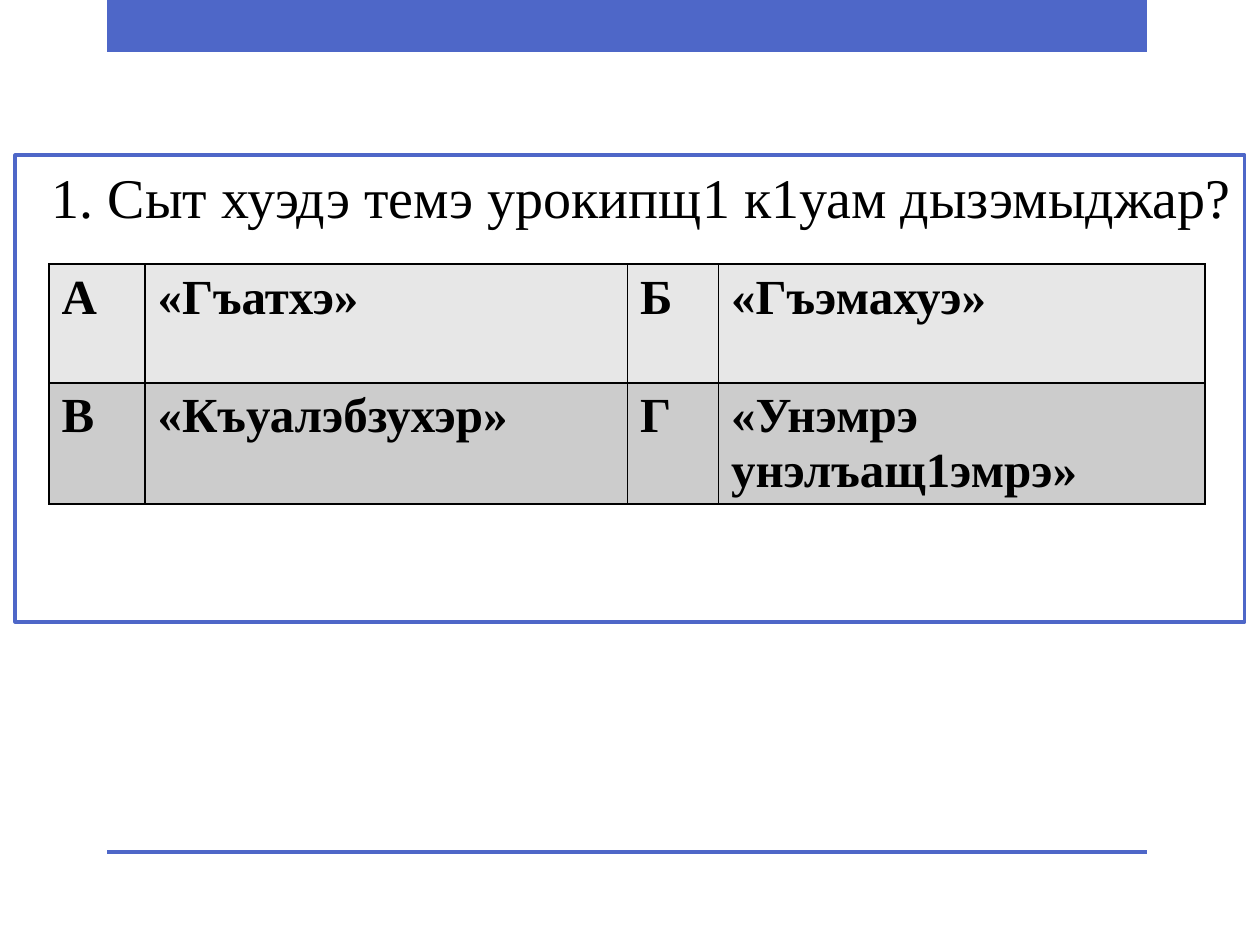
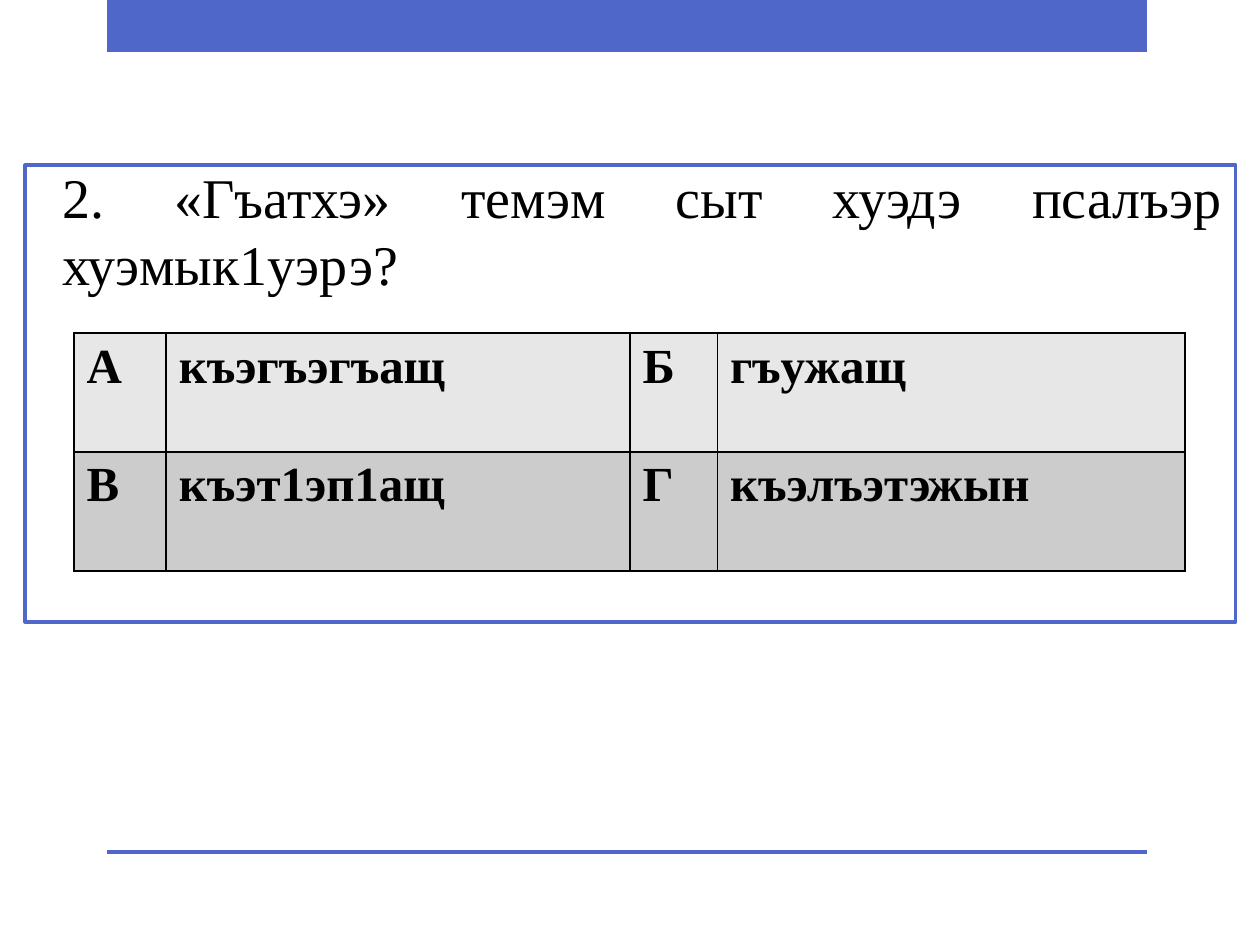
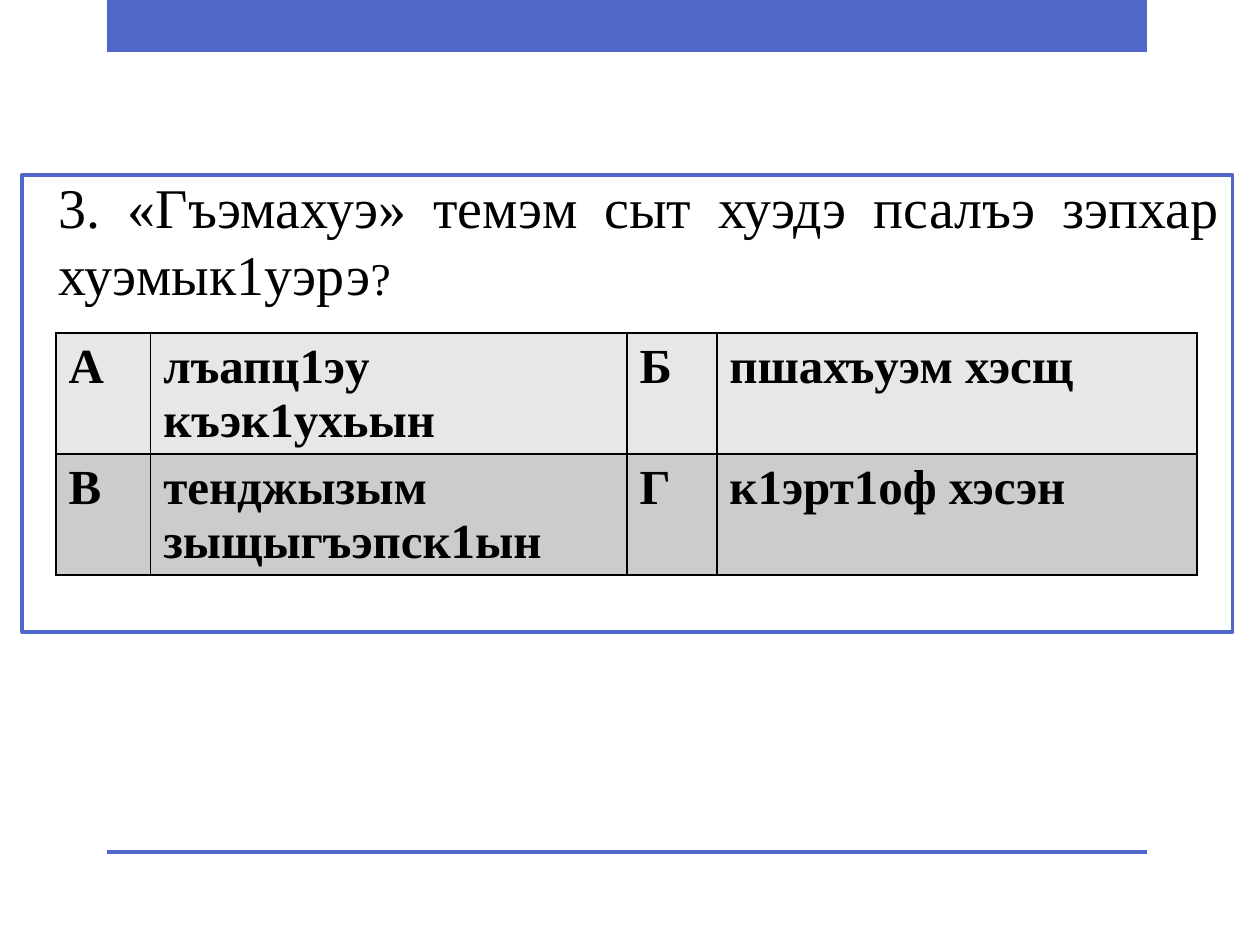
from dataclasses import dataclass

from lxml import etree
from pptx import Presentation
from pptx import util as u
from pptx.dml.color import RGBColor
from pptx.enum import shapes, text
from pptx.oxml.ns import qn

PX = 914400 / 126
LETTERS = "АБВГ"
COLUMN_SHARES = (0.083, 0.4175, 0.0787, 0.4208)
ROW_HEIGHT = 119


@dataclass(frozen=True)
class Theme:
    accent: str = "4E67C8"
    paper: str = "FFFFFF"
    ink: str = "000000"
    row_fills: tuple = ("E7E7E7", "CCCCCC")
    font: str = "Times New Roman"
    question_size: int = 32
    small_size: int = 26
    answer_size: int = 28
    frame_width: float = 1.75
    border_width: float = 1


THEME = Theme()

# panel: left, top, width, height; insets: top, right; table: left, top, width
QUIZ = [
    dict(panel=(15, 155, 1230, 467), insets=(7, 2), table=(49, 264, 1156),
         question=[("1. Сыт хуэдэ темэ урокипщ1 к1уам дызэмыджар?", THEME.question_size)],
         answers=["«Гъатхэ»", "«Гъэмахуэ»", "«Къуалэбзухэр»", "«Унэмрэ унэлъащ1эмрэ»"]),
    dict(panel=(25, 165, 1211, 457), insets=(-3, 13), table=(74, 333, 1111),
         question=[("2. «Гъатхэ» темэм сыт хуэдэ псалъэр хуэмык1уэрэ?", THEME.question_size)],
         answers=["къэгъэгъащ", "гъужащ", "къэт1эп1ащ", "къэлъэтэжын"]),
    dict(panel=(22, 175, 1211, 457), insets=(-3, 13), table=(56, 333, 1141),
         question=[("3. «Гъэмахуэ» темэм сыт хуэдэ псалъэ зэпхар хуэмык1уэрэ",
                    THEME.question_size), ("?", THEME.small_size)],
         answers=["лъапц1эу къэк1ухьын", "пшахъуэм хэсщ",
                  "тенджызым зыщыгъэпск1ын", "к1эрт1оф хэсэн"]),
]


def px(length):
    return u.Emu(round(length * PX))


def paint(fill, color):
    fill.solid()
    fill.fore_color.rgb = RGBColor.from_string(color)


def write(paragraph, words, *, size, bold=False):
    run = paragraph.add_run()
    run.text = words
    run.font.name = THEME.font
    run.font.size = u.Pt(size)
    run.font.bold = bold
    run.font.color.rgb = RGBColor.from_string(THEME.ink)


def add_master_bands(master, slide):
    """Draw the top and bottom bands on a slide, then move them to the master."""
    tree = master.shapes.element
    for order, (top, height) in enumerate([(0, 52), (850, 4)]):
        band = slide.shapes.add_shape(shapes.MSO_SHAPE.RECTANGLE,
                                      px(107), px(top), px(1040), px(height))
        band.shadow.inherit = False
        paint(band.fill, THEME.accent)
        band.line.fill.background()
        band.element.nvSpPr.cNvPr.id = 100 + order
        tree.insert(2 + order, band.element)


def place_question(slide, panel, insets, question):
    title = slide.shapes.title
    title.left, title.top, title.width, title.height = map(px, panel)
    paint(title.fill, THEME.paper)
    paint(title.line.fill, THEME.accent)
    title.line.width = u.Pt(THEME.frame_width)

    frame = title.text_frame
    frame.word_wrap = True
    frame.auto_size = text.MSO_AUTO_SIZE.NONE
    frame.vertical_anchor = text.MSO_ANCHOR.TOP
    frame.margin_left, frame.margin_bottom = px(37), 0
    frame.margin_top, frame.margin_right = map(px, insets)
    paragraph = frame.paragraphs[0]
    paragraph.alignment = text.PP_ALIGN.JUSTIFY
    for words, size in question:
        write(paragraph, words, size=size)


def border_cell(cell):
    properties = cell._tc.get_or_add_tcPr()
    for order, side in enumerate(("lnL", "lnR", "lnT", "lnB")):
        line = etree.Element(qn(f"a:{side}"), w=str(u.Pt(THEME.border_width)))
        fill = etree.SubElement(line, qn("a:solidFill"))
        etree.SubElement(fill, qn("a:srgbClr"), val=THEME.ink)
        properties.insert(order, line)


def place_answers(slide, box, answers):
    left, top, width = box
    table = slide.shapes.add_table(2, 4, px(left), px(top), px(width),
                                   px(2 * ROW_HEIGHT)).table
    table.first_row = False
    for column, share in zip(table.columns, COLUMN_SHARES):
        column.width = px(width * share)
    for row in table.rows:
        row.height = px(ROW_HEIGHT)
    entries = [entry for pair in zip(LETTERS, answers) for entry in pair]
    for index, entry in enumerate(entries):
        row, column = divmod(index, 4)
        cell = table.cell(row, column)
        paint(cell.fill, THEME.row_fills[row])
        border_cell(cell)
        write(cell.text_frame.paragraphs[0], entry, size=THEME.answer_size, bold=True)


def add_quiz_slide(deck, panel, insets, table, question, answers):
    slide = deck.slides.add_slide(deck.slide_layouts.get_by_name("Title Only"))
    place_question(slide, panel, insets, question)
    place_answers(slide, table, answers)
    return slide


def main():
    deck = Presentation()
    deck.slide_width, deck.slide_height = px(1260), px(945)
    slides = [add_quiz_slide(deck, **item) for item in QUIZ]
    add_master_bands(deck.slide_master, slides[0])
    deck.save("out.pptx")


if __name__ == "__main__":
    main()
